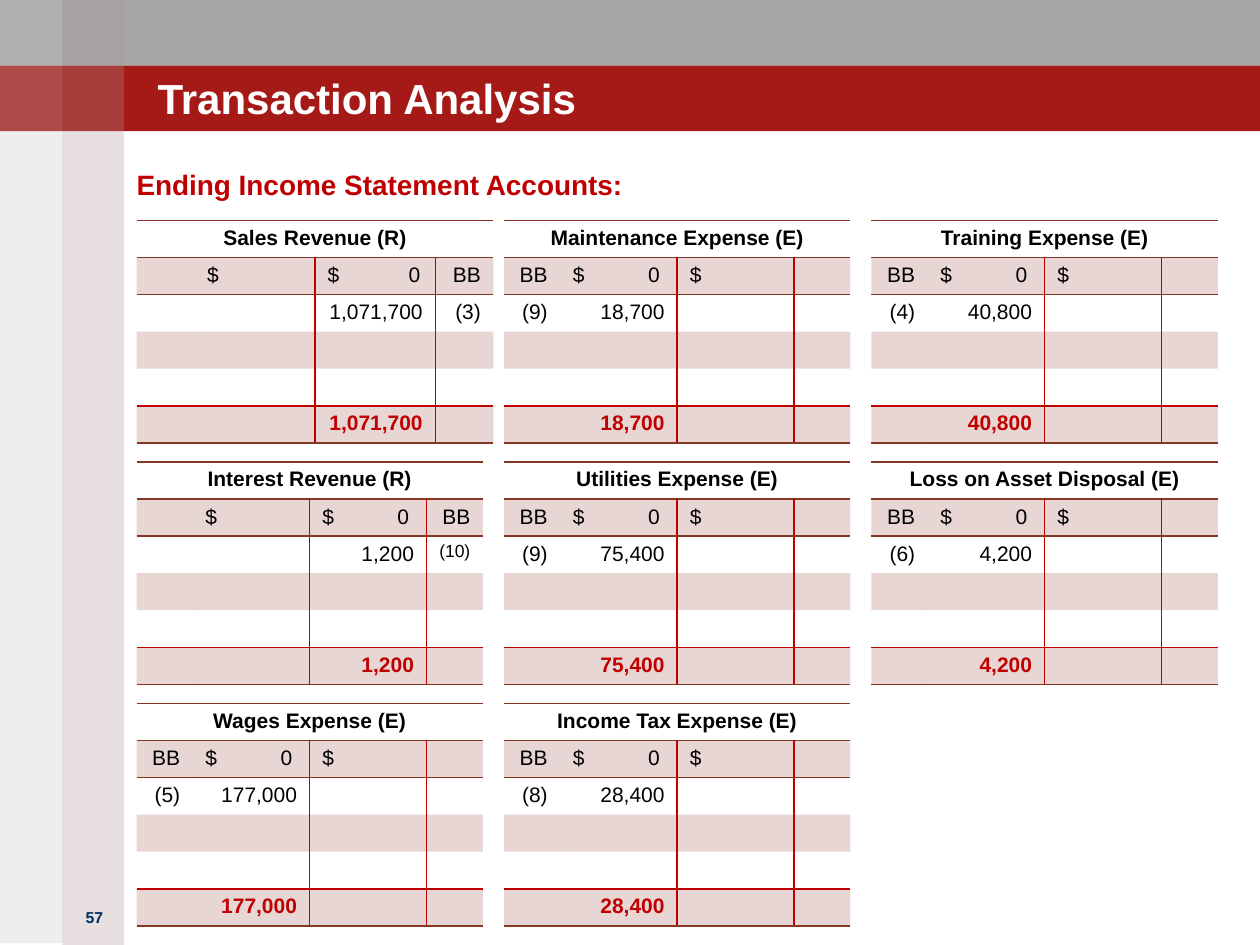
from dataclasses import dataclass

from lxml import etree
from pptx import Presentation
from pptx import util as u
from pptx.dml.color import RGBColor
from pptx.enum import shapes, text
from pptx.oxml import ns

Pt = u.Pt
LEFT, MID, RIGHT = text.PP_ALIGN.LEFT, text.PP_ALIGN.CENTER, text.PP_ALIGN.RIGHT


@dataclass(frozen=True)
class Theme:
    font: str = "Arial"
    gray: str = "A6A6A6"
    band: str = "A51A17"
    rose: str = "A08284"
    ash: str = "938F8F"
    white: str = "FFFFFF"
    black: str = "000000"
    navy: str = "002E62"
    red: str = "C00000"
    brown: str = "873624"
    title: float = 24
    head: float = 16
    cell: float = 12
    small: float = 10
    page: float = 9


T = Theme()
PLAIN = "{2D5ABB26-0587-4C30-8999-92F81FD0307C}"
LEDGER = [
    ("Sales Revenue (R)", 0, 0, "(3)", "1,071,700"),
    ("Maintenance Expense (E)", 1, 0, "(9)", "18,700"),
    ("Training Expense (E)", 2, 0, "(4)", "40,800"),
    ("Interest Revenue (R)", 0, 1, "(10)", "1,200"),
    ("Utilities Expense (E)", 1, 1, "(9)", "75,400"),
    ("Loss on Asset Disposal (E)", 2, 1, "(6)", "4,200"),
    ("Wages Expense (E)", 0, 2, "(5)", "177,000"),
    ("Income Tax Expense (E)", 1, 2, "(8)", "28,400"),
]


def sub(node, tag, **attrs):
    return etree.SubElement(node, ns.qn(tag), attrs)


def put(frame, words, size=T.cell, color=T.black, bold=False, align=LEFT,
        tab=None, before=0, after=0):
    para = frame.paragraphs[0]
    para.alignment = align
    para.space_before, para.space_after = Pt(before), Pt(after)
    if tab:
        stops = sub(para._p.get_or_add_pPr(), "a:tabLst")
        sub(stops, "a:tab", pos=str(Pt(tab)), algn="r")
    if not words:
        sub(para._p, "a:endParaRPr", sz=str(int(size * 100)))
        return para
    run = para.add_run()
    run.text = words
    run.font.name, run.font.size, run.font.bold = T.font, Pt(size), bold
    run.font.color.rgb = RGBColor.from_string(color)
    return para


def paint(fill, color, alpha=100):
    fill.solid()
    fill.fore_color.rgb = RGBColor.from_string(color)
    if alpha < 100:
        tone = fill._xPr.find(".//" + ns.qn("a:srgbClr"))
        sub(tone, "a:alpha", val=str(alpha * 1000))


def block(slide, x, y, wide, high, color, alpha=100):
    box = slide.shapes.add_shape(
        shapes.MSO_SHAPE.RECTANGLE, Pt(x), Pt(y), Pt(wide), Pt(high))
    box.shadow.inherit = False
    box.line.fill.background()
    paint(box.fill, color, alpha)


def place(slide, item, x, y, wide, high):
    item.left, item.top, item.width, item.height = map(Pt, (x, y, wide, high))
    frame = item.text_frame
    frame.margin_left = frame.margin_right = 0
    frame.margin_top = frame.margin_bottom = 0
    frame.auto_size = text.MSO_AUTO_SIZE.NONE
    slide.shapes._spTree.append(item._element)
    return frame


def edge(cell, sides):
    props = cell._tc.get_or_add_tcPr()
    order = [side for side in "LRTB" if side in sides]
    for spot, side in enumerate(order):
        line = etree.Element(ns.qn("a:ln" + side), w=str(Pt(1)))
        tone = sub(sub(line, "a:solidFill"), "a:srgbClr", val=sides[side])
        tone.tail = None
        props.insert(spot, line)


def sides_of(row, col):
    if row == 0:
        return {"T": T.brown, "B": T.brown}
    sides = {}
    if row == 1:
        sides["T"] = T.brown
    if row == 4:
        sides["B"] = T.red
    if row == 5:
        sides.update(T=T.red, B=T.brown)
    if col in (1, 2):
        sides["R"] = T.red
    if col in (2, 3):
        sides["L"] = T.red
    return sides


def entries(name, ref, sum_, tab):
    credit = name.endswith("(R)")
    main, side = (2, 3) if credit else (1, 0)
    size = T.small if len(ref) > 3 else T.cell
    return {
        (0, 0): dict(words=name, bold=True, align=MID),
        (1, side): dict(words="BB", align=RIGHT),
        (1, main): dict(words="$\t0", tab=tab),
        (1, 3 - main): dict(words="$"),
        (2, side): dict(words=ref, align=RIGHT, size=size),
        (2, main): dict(words=sum_, align=RIGHT),
        (5, main): dict(words=sum_, align=RIGHT, bold=True, color=T.red),
    }


def ledger(slide, name, col, row, ref, sum_):
    first = col == row == 0
    wide = 204 if first else 198
    outer = 33.2 if first else 32.2
    inner = wide / 2 - outer
    high = 20.66
    grid = slide.shapes.add_table(
        6, 4, Pt(78 + 210 * col), Pt(126 + 138 * row), Pt(wide), Pt(6 * high)).table
    grid.first_row = grid.horz_banding = False
    grid._tbl.tblPr.find(ns.qn("a:tableStyleId")).text = PLAIN
    for index, size in enumerate((outer, inner, inner, outer)):
        grid.columns[index].width = Pt(size)
    grid.cell(0, 0).merge(grid.cell(0, 3))
    notes = entries(name, ref, sum_, 53 if first else 49.6)
    for r in range(6):
        grid.rows[r].height = Pt(high)
        for c in range(4):
            cell = grid.cell(r, c)
            cell.margin_top = cell.margin_bottom = Pt(3.4)
            cell.margin_left = cell.margin_right = Pt(7.2)
            put(cell.text_frame, **notes.get((r, c), dict(words="")))
            if r % 2:
                paint(cell.fill, T.brown, 20)
            else:
                cell.fill.background()
            edge(cell, sides_of(r, c))


def frame_page(slide):
    block(slide, 0, 0, 720, 37.5, T.gray)
    block(slide, 0, 37.5, 720, 37.5, T.band)
    block(slide, 35.5, 0, 35.5, 540, T.rose, 25)
    block(slide, 0, 0, 35.5, 539, T.ash, 15)
    for y in (0, 37.5):
        block(slide, 35.5, y, 35.5, 37.5, T.white, 5)
        block(slide, 0, y, 35.5, 37.5, T.white, 15)


def heads(slide):
    title, body = slide.placeholders
    frame = place(slide, title, 90, 22.5, 570, 48)
    frame.vertical_anchor = text.MSO_ANCHOR.BOTTOM
    put(frame, "Transaction Analysis", size=T.title, color=T.white, bold=True)
    frame = place(slide, body, 78, 96, 606, 420)
    para = put(frame, "Ending Income Statement Accounts:", size=T.head,
               color=T.red, bold=True, before=3.2, after=6)
    props = para._p.get_or_add_pPr()
    props.set("marL", "0")
    props.set("indent", "0")
    sub(props, "a:buNone")
    page = slide.shapes.add_textbox(Pt(36), Pt(515), Pt(36), Pt(25)).text_frame
    page.word_wrap = True
    put(page, "57", size=T.page, color=T.navy, bold=True, align=MID)


def main():
    deck = Presentation()
    deck.slide_width, deck.slide_height = Pt(720), Pt(540)
    slide = deck.slides.add_slide(deck.slide_layouts[1])
    frame_page(slide)
    heads(slide)
    for account in LEDGER:
        ledger(slide, *account)
    deck.save("out.pptx")


if __name__ == "__main__":
    main()
